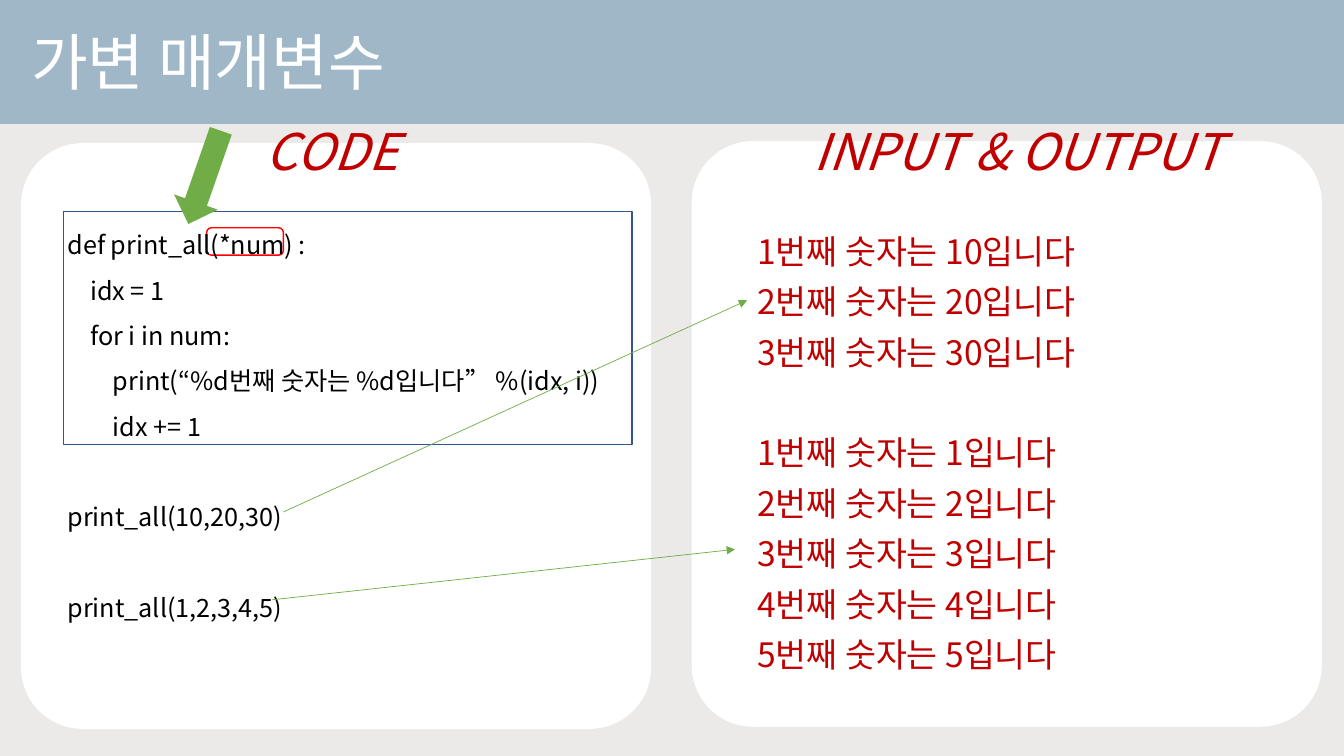
from lxml import etree
from pptx import Presentation
from pptx.dml.color import RGBColor
from pptx.enum.shapes import MSO_CONNECTOR, MSO_SHAPE
from pptx.enum.text import MSO_ANCHOR, MSO_AUTO_SIZE, PP_ALIGN
from pptx.oxml.ns import qn
from pptx.util import Inches, Pt

RECTANGLE, ROUNDED = MSO_SHAPE.RECTANGLE, MSO_SHAPE.ROUNDED_RECTANGLE
RIGHT_ARROW, STRAIGHT = MSO_SHAPE.RIGHT_ARROW, MSO_CONNECTOR.STRAIGHT
TOP, LEFT, NO_FIT = MSO_ANCHOR.TOP, PP_ALIGN.LEFT, MSO_AUTO_SIZE.NONE

FONT = "Noto Sans CJK KR"
GREY = RGBColor(0xEB, 0xEA, 0xE8)
STEEL = RGBColor(0xA0, 0xB7, 0xC7)
WHITE = RGBColor(0xFF, 0xFF, 0xFF)
BLACK = RGBColor(0x00, 0x00, 0x00)
NAVY = RGBColor(0x32, 0x54, 0x91)
RED = RGBColor(0xFF, 0x00, 0x00)
CRIMSON = RGBColor(0xC0, 0x00, 0x00)
GREEN = RGBColor(0x70, 0xAD, 0x47)

deck = Presentation()
deck.slide_width, deck.slide_height = Inches(13.33), Inches(7.5)
page = deck.slides.add_slide(deck.slide_layouts[5])
page.background.fill.solid()
page.background.fill.fore_color.rgb = GREY

# The slide is a grid of 64 columns by 36 rows of square cells
CELL = deck.slide_height / 36


def add_figure(kind, area, fill=None, line=None):
    figure = page.shapes.add_shape(kind, *[int(CELL * cells) for cells in area])
    figure.shadow.inherit = False
    if fill is None:
        figure.fill.background()
    else:
        figure.fill.solid()
        figure.fill.fore_color.rgb = fill
    if line is None:
        figure.line.fill.background()
    else:
        figure.line.color.rgb = line
        figure.line.width = Pt(1)
    return figure


def write(box, lines, size, color, spacing=1.0, wrap=True, italic=None):
    """Each line is (indent level, blank lines above, text)."""
    frame = box.text_frame
    frame.word_wrap = wrap
    frame.auto_size = NO_FIT
    frame.vertical_anchor = TOP
    frame.text = "\n".join(text for _, _, text in lines)
    for para, (level, gap, _) in zip(frame.paragraphs, lines):
        para.alignment = LEFT
        para.line_spacing = spacing
        para.space_before = Pt(gap * size * spacing * 1.2)
        properties = para._p.get_or_add_pPr()
        properties.set("marL", str(int(CELL * 1.08 * level)))
        properties.set("indent", "0")
        for span in para.runs:
            span.font.name = FONT
            span.font.size = Pt(size)
            span.font.color.rgb = color
            span.font.italic = italic
            east_asian = etree.SubElement(span.font._element, qn("a:ea"))
            east_asian.set("typeface", FONT)


# Title on its band
title = page.shapes.title
band = add_figure(RECTANGLE, (0, 0, 64, 5.9), fill=STEEL)
title.element.addprevious(band.element)
title.left, title.top, title.width, title.height = [
    int(CELL * cells) for cells in (1, 0.91, 37.15, 4.03)]
write(title, [(0, 0, "가변 매개변수")], 44, WHITE)

# Cards, code frame and highlighted parameter
CARD_WIDTH, CARD_HEIGHT = 30, 27.89
for left, top in ((1, 6.82), (32.93, 6.72)):
    card = add_figure(ROUNDED, (left, top, CARD_WIDTH, CARD_HEIGHT), fill=WHITE)
    card.adjustments[0] = 0.105
add_figure(RECTANGLE, (3.02, 10.08, 27.07, 11.09), line=NAVY)
add_figure(ROUNDED, (9.84, 10.85, 3.65, 1.3), line=RED)

# Code, output and card headings
code = [
    (0, 0, "def print_all(*num) :"),
    (1, 0, "idx = 1"),
    (1, 0, "for i in num:"),
    (2, 0, "print(“%d번째 숫자는 %d입니다” %(idx, i))"),
    (2, 0, "idx += 1"),
    (0, 1, "print_all(10,20,30)"),
    (0, 1, "print_all(1,2,3,4,5)"),
]
output = []
for call, numbers in enumerate(((10, 20, 30), (1, 2, 3, 4, 5))):
    for order, number in enumerate(numbers, 1):
        gap = 1 if call and order == 1 else 0
        output.append((0, gap, f"{order}번째 숫자는 {number}입니다"))

texts = [
    ((2.74, 9.98, 27.94, 19.82), code, 18, BLACK, 1.5, True, None),
    ((35.57, 10.27, 26.16, 22.03), output, 24, CRIMSON, 1.25, True, None),
    ((12.19, 5.47, 7.34, 3.41), [(0, 0, "CODE")], 36, CRIMSON, 1.0, False, True),
    ((38.26, 5.47, 20.78, 3.41), [(0, 0, "INPUT & OUTPUT")], 36, CRIMSON, 1.0, False, True),
]
for area, *style in texts:
    box = page.shapes.add_textbox(*[int(CELL * cells) for cells in area])
    write(box, *style)

# Block arrow pointing at the parameter
pointer = add_figure(RIGHT_ARROW, (7.39, 7.34, 4.7, 2.21), fill=GREEN)
pointer.rotation = 109.2

# Thin arrows from each call to its output
for ends in ((13.49, 24.38, 35.57, 14.3), (12.96, 28.56, 34.99, 26.16)):
    link = page.shapes.add_connector(STRAIGHT, *[int(CELL * cells) for cells in ends])
    link.line.color.rgb = GREEN
    link.line.width = Pt(0.5)
    head = etree.SubElement(link.line._get_or_add_ln(), qn("a:tailEnd"))
    head.set("type", "triangle")
    etree.SubElement(link._element.spPr, qn("a:effectLst"))

deck.save("out.pptx")
